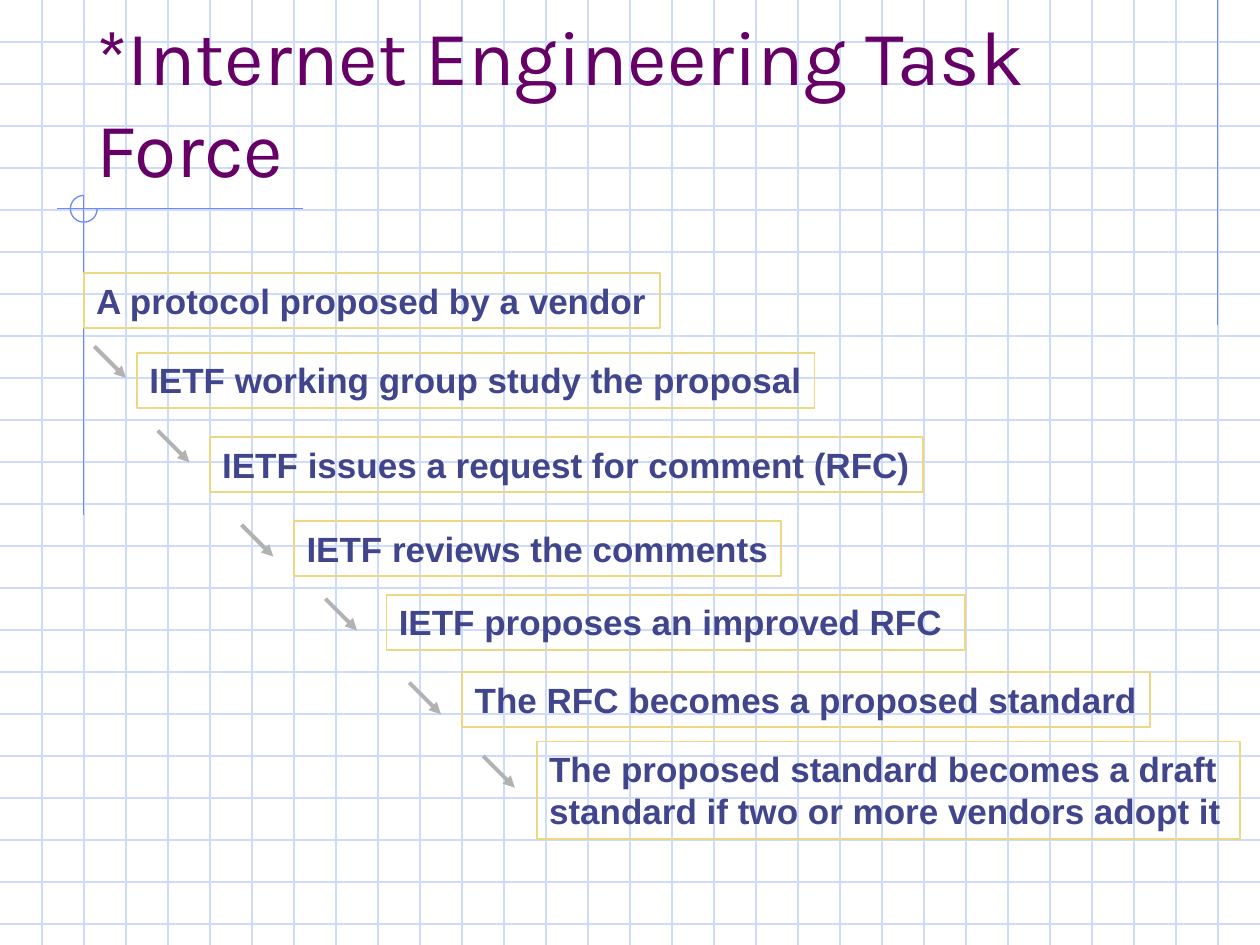
import pptx
import pptx.dml.color
import pptx.enum.shapes
import pptx.enum.text
import pptx.oxml
import pptx.oxml.ns
import pptx.util

RGBColor = pptx.dml.color.RGBColor
Cm = pptx.util.Cm

GRID_BLUE = RGBColor(0xCF, 0xDB, 0xFD)
ACCENT_BLUE = RGBColor(0x6F, 0x89, 0xF7)
TITLE_PURPLE = RGBColor(0x66, 0x00, 0x66)
STEP_TEXT = RGBColor(0x40, 0x45, 0x8C)
STEP_BORDER = RGBColor(0xEC, 0xD8, 0x82)
ARROW_GRAY = RGBColor(0xB2, 0xB2, 0xB2)

PAGE_WIDTH, PAGE_HEIGHT = 25.4, 19.05
GRID_STEP = 2.54 / 3
ARROW_SIZE = 0.64

# Left, top, width, height in centimetres, then the lines of text
STEPS = [
    (1.69, 5.50, 11.62, 1.11, ["A protocol proposed by a vendor"]),
    (2.76, 7.11, 13.66, 1.11, ["IETF working group study the proposal"]),
    (4.23, 8.81, 14.38, 1.11, ["IETF issues a request for comment (RFC)"]),
    (5.93, 10.50, 9.82, 1.11, ["IETF reviews the comments"]),
    (7.79, 11.99, 11.67, 1.11, ["IETF proposes an improved RFC"]),
    (9.32, 13.55, 13.87, 1.11, ["The RFC becomes a proposed standard"]),
    (10.82, 14.95, 14.18, 1.96, ["The proposed standard becomes a draft",
                                 "standard if two or more vendors adopt it"]),
]
ARROW_STARTS = [(1.90, 6.98), (3.18, 8.68), (4.87, 10.58),
                (6.56, 12.07), (8.25, 13.76), (9.74, 15.24)]


def add_line(page, x1, y1, x2, y2, color, width=0.75):
    line = page.shapes.add_connector(
        pptx.enum.shapes.MSO_CONNECTOR.STRAIGHT, Cm(x1), Cm(y1), Cm(x2), Cm(y2))
    line.line.color.rgb = color
    line.line.width = pptx.util.Pt(width)
    properties = line._element.spPr
    properties.append(pptx.oxml.parse_xml(
        "<a:effectLst %s/>" % pptx.oxml.ns.nsdecls("a")))
    return line


def add_arrow(page, x, y):
    arrow = add_line(page, x, y, x + ARROW_SIZE, y + ARROW_SIZE, ARROW_GRAY, 2.25)
    arrow.line._get_or_add_ln().append(pptx.oxml.parse_xml(
        '<a:tailEnd %s type="triangle"/>' % pptx.oxml.ns.nsdecls("a")))


def add_grid(page):
    for row in range(1, 23):
        add_line(page, 0, row * GRID_STEP, PAGE_WIDTH, row * GRID_STEP, GRID_BLUE)
    for column in range(1, 30):
        add_line(page, column * GRID_STEP, 0, column * GRID_STEP, PAGE_HEIGHT, GRID_BLUE)


def add_outline_shape(page, kind, left, top, width, height, color, line_width):
    shape = page.shapes.add_shape(kind, Cm(left), Cm(top), Cm(width), Cm(height))
    shape.shadow.inherit = False
    shape.fill.background()
    shape.line.color.rgb = color
    shape.line.width = pptx.util.Pt(line_width)
    return shape


def add_accents(page):
    """Margin lines and the three-quarter circle where two of them cross."""
    add_line(page, 24.55, 0, 24.55, 6.56, ACCENT_BLUE)
    add_line(page, 6.10, 4.21, 1.14, 4.21, ACCENT_BLUE)
    add_line(page, 1.69, 3.94, 1.69, 10.39, ACCENT_BLUE)
    arc = add_outline_shape(page, pptx.enum.shapes.MSO_SHAPE.ARC,
                            1.42, 3.94, 0.54, 0.54, ACCENT_BLUE, 0.75)
    arc.adjustments[0] = 0
    arc.adjustments[1] = 162  # 270 degrees


def write_span(para, text, font, size, color, bold=False):
    para.alignment = pptx.enum.text.PP_ALIGN.LEFT
    span = para.add_run()
    span.text = text
    span.font.name = font
    span.font.size = pptx.util.Pt(size)
    span.font.bold = bold
    span.font.color.rgb = color


def add_title(page, text):
    box = page.shapes.add_textbox(Cm(1.69), Cm(0.85), Cm(21.59), Cm(3.17))
    box.text_frame.word_wrap = True
    box.text_frame.vertical_anchor = pptx.enum.text.MSO_ANCHOR.BOTTOM
    write_span(box.text_frame.paragraphs[0], text, "Karla", 44, TITLE_PURPLE)


def add_step(page, left, top, width, height, lines):
    box = add_outline_shape(page, pptx.enum.shapes.MSO_SHAPE.RECTANGLE,
                            left, top, width, height, STEP_BORDER, 1)
    frame = box.text_frame
    frame.word_wrap = False
    frame.auto_size = pptx.enum.text.MSO_AUTO_SIZE.SHAPE_TO_FIT_TEXT
    frame.vertical_anchor = pptx.enum.text.MSO_ANCHOR.TOP
    for index, text in enumerate(lines):
        para = frame.add_paragraph() if index else frame.paragraphs[0]
        write_span(para, text, "Arial", 20, STEP_TEXT, bold=True)


def main():
    deck = pptx.Presentation()
    deck.slide_width, deck.slide_height = Cm(PAGE_WIDTH), Cm(PAGE_HEIGHT)
    page = deck.slides.add_slide(deck.slide_layouts[6])
    add_grid(page)
    add_accents(page)
    add_title(page, "*Internet Engineering Task Force")
    for step in STEPS:
        add_step(page, *step)
    for start in ARROW_STARTS:
        add_arrow(page, *start)
    deck.save("out.pptx")


if __name__ == "__main__":
    main()
